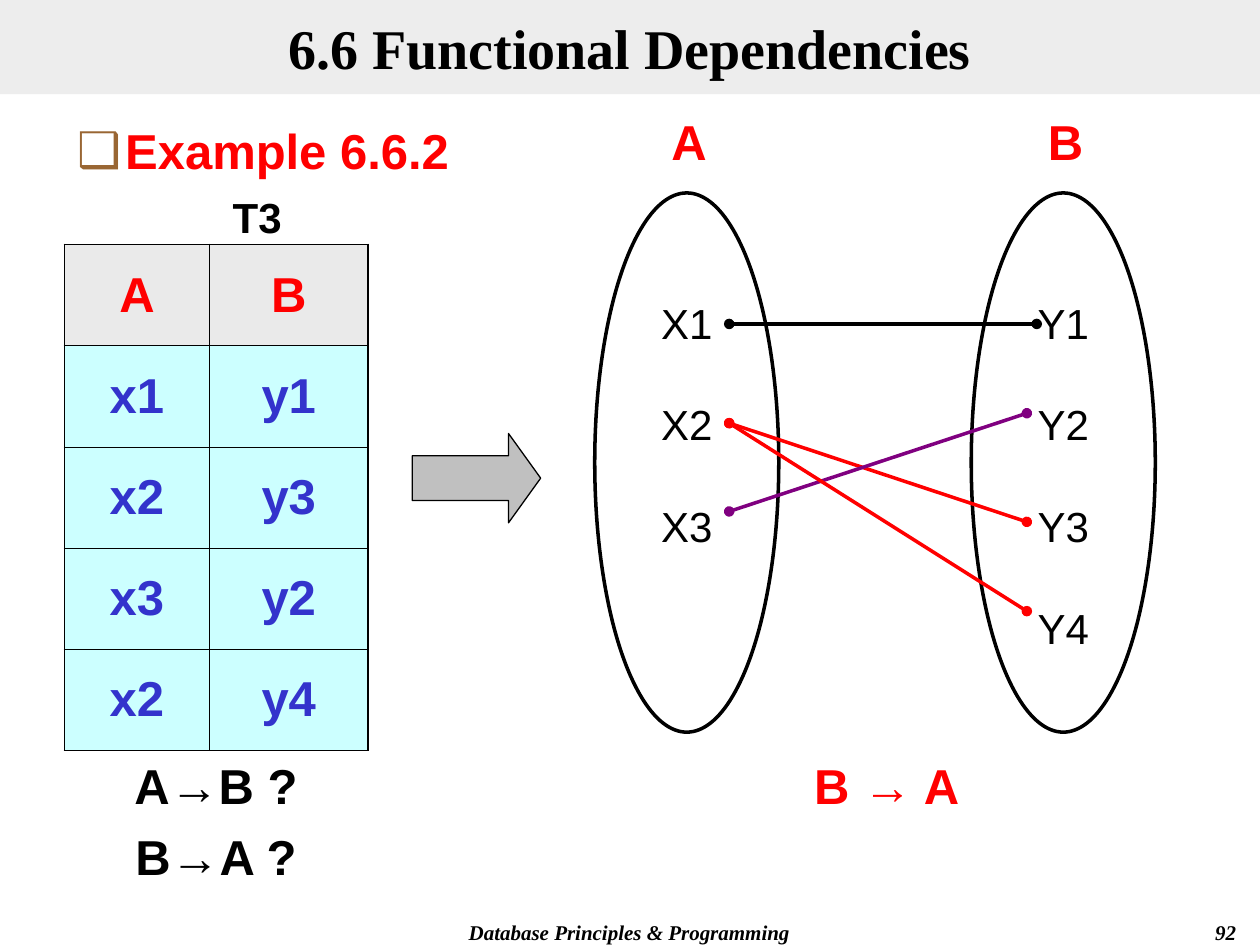
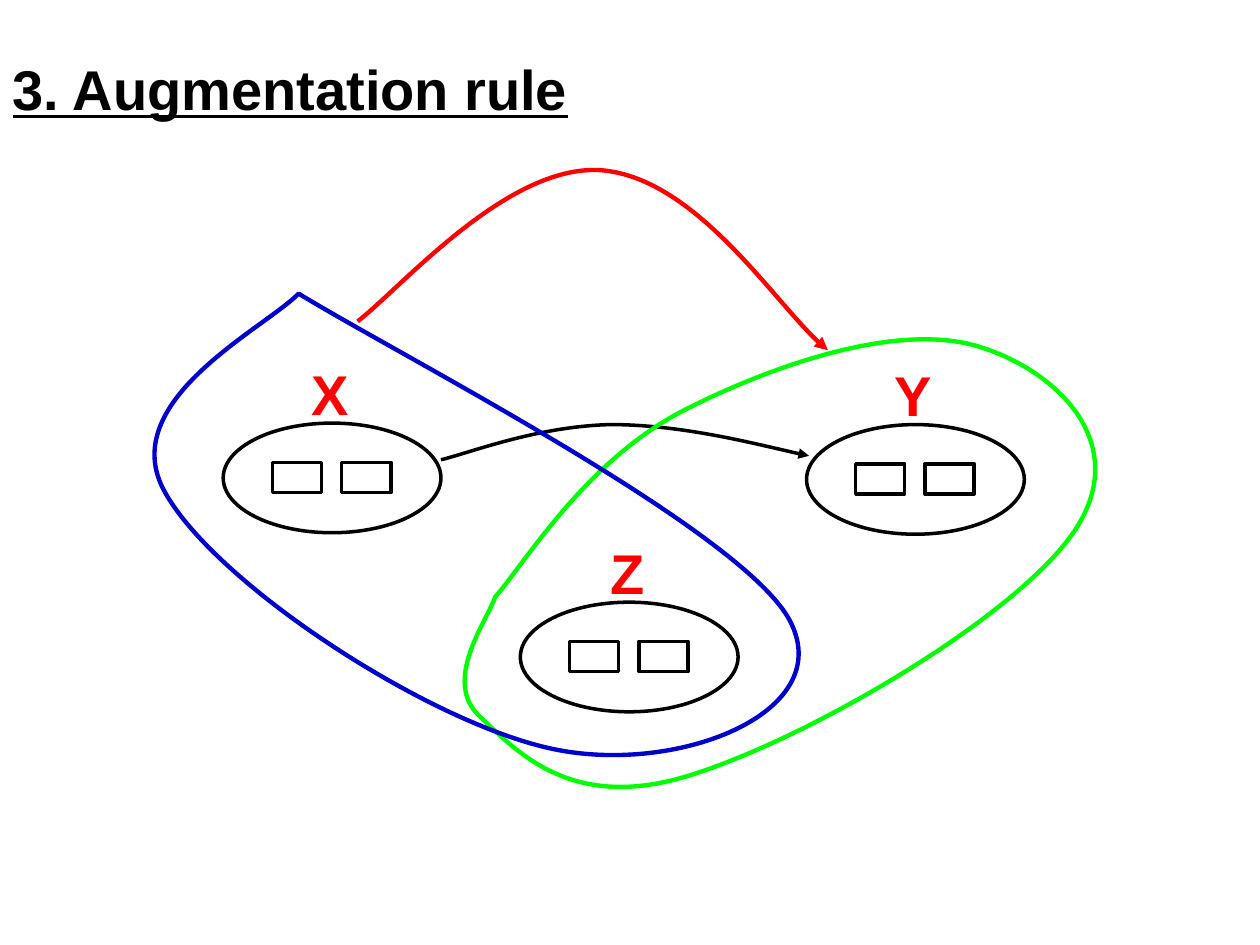
from lxml.etree import Element, SubElement
from pptx import Presentation
from pptx.dml.color import RGBColor
from pptx.enum.shapes import MSO_CONNECTOR as LINK, MSO_SHAPE as SHAPE
from pptx.enum.text import MSO_ANCHOR as ANCHOR, MSO_AUTO_SIZE as FIT, PP_ALIGN as ALIGN
from pptx.oxml.ns import qn
from pptx.util import Cm, Pt

BLACK = RGBColor(0x00, 0x00, 0x00)
RED = RGBColor(0xFF, 0x00, 0x00)
GREEN = RGBColor(0x00, 0xFF, 0x00)
BLUE = RGBColor(0x00, 0x00, 0xCC)
INDIGO = RGBColor(0x33, 0x33, 0xCC)
PURPLE = RGBColor(0x80, 0x00, 0x80)
BROWN = RGBColor(0x99, 0x66, 0x33)
SILVER = RGBColor(0xC0, 0xC0, 0xC0)
BAND = RGBColor(0xDD, 0xDD, 0xDD)
HEAD = RGBColor(0xEA, 0xEA, 0xEA)
AQUA = RGBColor(0xCC, 0xFF, 0xFF)
SANS = "Arial"
SERIF = "Times New Roman"

ROWS = [("A", "B"), ("x1", "y1"), ("x2", "y3"), ("x3", "y2"), ("x2", "y4")]
COLS = (2.92, 3.2)
ROW_H = 2.04
# Left edge, heading and members of each oval
SETS = [(11.99, "A", ["X1", "X2", "X3"]), (19.58, "B", ["Y1", "Y2", "Y3", "Y4"])]
# Start height, end point and colour of each link
LINK_X = 14.7
LINKS = [(6.53, (20.9, 6.53), BLACK), (8.53, (20.7, 10.52), RED),
         (10.31, (20.7, 8.33), PURPLE), (8.53, (20.7, 12.32), RED)]
NODES = [("Z", 10.49, 12.14), ("X", 4.5, 8.53), ("Y", 16.26, 8.56)]

# Each curve is a start point, then two handles and an end point per bend
X_TO_Y = [(8.89, 9.27), (9.5, 9.12), (10.85, 8.59), (12.32, 8.56),
          (13.79, 8.56), (15.57, 9.04), (16.31, 9.19)]
YZ_LOOP = [(9.98, 12.04), (10.62, 11.3), (11.81, 9.3), (13.77, 8.28),
           (15.72, 7.29), (18.16, 6.5), (19.74, 6.99),
           (21.31, 7.47), (22.83, 8.94), (21.67, 10.69),
           (20.52, 12.42), (16.36, 14.86), (13.94, 15.62),
           (11.56, 16.38), (10.46, 15.19), (9.68, 14.45),
           (8.89, 13.74), (9.83, 12.5), (9.98, 12.04)]
XZ_LOOP = [(6.02, 5.92), (8.1, 7.19), (14.86, 10.64), (15.9, 12.47),
           (16.94, 14.33), (13.72, 15.62), (11.2, 15.11),
           (8.69, 14.61), (4.37, 11.79), (3.33, 9.93),
           (2.29, 8.1), (5.33, 6.63), (6.02, 5.92)]
XZ_TO_YZ = [(7.21, 6.48), (8.1, 5.79), (10.21, 3.33), (12.09, 3.43),
            (14, 3.56), (15.77, 6.35), (16.69, 7.06)]


def place(shape, *box):
    shape.left, shape.top, shape.width, shape.height = map(Cm, box)


def write(frame, lines, size, color=BLACK, font=SANS, bold=True, italic=False,
          under=None, align=ALIGN.CENTER, anchor=ANCHOR.TOP, gap=0, pitch=None):
    """Fill a text frame; gap is the space between its paragraphs."""
    frame.word_wrap = True
    frame.vertical_anchor = anchor
    for i, line in enumerate(lines):
        para = frame.add_paragraph() if i else frame.paragraphs[0]
        para.alignment = align
        para.space_before = Pt(gap if i else 0)
        if pitch:
            para.line_spacing = pitch
        run = para.add_run()
        run.text = line
        face = run.font
        face.name, face.size = font, Pt(size)
        face.bold, face.italic, face.underline = bold, italic, under
        face.color.rgb = color


def label(slide, box, lines, size, **style):
    area = slide.shapes.add_textbox(*map(Cm, box))
    write(area.text_frame, lines, size, **style)


def title(slide, box, text, **style):
    shape = slide.shapes.title
    place(shape, *box)
    shape.text_frame.auto_size = FIT.NONE
    write(shape.text_frame, [text], 32, **style)
    return shape


def stroke(shape, color, width):
    shape.line.color.rgb = color
    shape.line.width = Pt(width)


def tip(shape, **ends):
    """Set line ends, given as headEnd and tailEnd."""
    line = shape.line._get_or_add_ln()
    for end, kind in ends.items():
        SubElement(line, qn("a:" + end), type=kind)


def draw(slide, kind, box, fill=None, width=2):
    shape = slide.shapes.add_shape(kind, *map(Cm, box))
    shape.shadow.inherit = False
    if fill is None:
        shape.fill.background()
    else:
        shape.fill.solid()
        shape.fill.fore_color.rgb = fill
    stroke(shape, BLACK, width)
    return shape


def link(slide, start, end, color):
    wire = slide.shapes.add_connector(LINK.STRAIGHT, *map(Cm, start + end))
    stroke(wire, color, 2)
    tip(wire, headEnd="oval", tailEnd="oval")
    SubElement(wire._element.spPr, qn("a:effectLst"))


def curve(slide, points, color, width, loop=False):
    """Draw a Bezier outline; an open one ends in an arrowhead."""
    first, *rest = [(Cm(x), Cm(y)) for x, y in points]
    pen = slide.shapes.build_freeform(*first)
    pen.add_line_segments(rest, close=loop)
    shape = pen.convert_to_shape()
    legs = shape._element.xpath(".//a:lnTo")
    for i in range(0, len(legs), 3):
        bend = Element(qn("a:cubicBezTo"))
        legs[i].addprevious(bend)
        for leg in legs[i:i + 3]:
            bend.append(leg[0])
            leg.getparent().remove(leg)
    shape.shadow.inherit = False
    shape.fill.background()
    stroke(shape, color, width)
    if not loop:
        tip(shape, tailEnd="triangle")


def bullet(para, mark, color, indent):
    props = para._p.get_or_add_pPr()
    props.set("marL", str(Cm(indent)))
    props.set("indent", str(-Cm(indent)))
    tint = SubElement(props, qn("a:buClr"))
    SubElement(tint, qn("a:srgbClr"), val=str(color))
    SubElement(props, qn("a:buChar"), char=mark)


def border(cell, **edges):
    """Set cell borders: L, R, T and B are widths in points."""
    props = cell._tc.get_or_add_tcPr()
    for side, width in edges.items():
        line = SubElement(props, qn("a:ln" + side), w=str(Pt(width)))
        paint = SubElement(line, qn("a:solidFill"))
        SubElement(paint, qn("a:srgbClr"), val=str(BLACK))


def grid(slide, left, top):
    frame = slide.shapes.add_table(len(ROWS), len(COLS), Cm(left), Cm(top),
                                   Cm(sum(COLS)), Cm(ROW_H * len(ROWS)))
    table = frame.table
    for col, width in zip(table.columns, COLS):
        col.width = Cm(width)

    def edge(outer):
        return 1.08 if outer else 0.45

    for r, row in enumerate(ROWS):
        table.rows[r].height = Cm(ROW_H)
        for c, text in enumerate(row):
            cell = table.cell(r, c)
            border(cell, L=edge(c == 0), R=edge(c == len(COLS) - 1),
                   T=edge(r == 0), B=edge(r == len(ROWS) - 1))
            cell.fill.solid()
            cell.fill.fore_color.rgb = AQUA if r else HEAD
            write(cell.text_frame, [text], 28, INDIGO if r else RED)
            cell.vertical_anchor = ANCHOR.MIDDLE


def footer(slide, text, page):
    style = dict(font=SERIF, italic=True)
    label(slide, (7.19, 18.42, 11, 0.64), [text], 12, **style)
    label(slide, (19.89, 18.42, 5.28, 0.64), [page], 12, align=ALIGN.RIGHT, **style)


def oval(slide, left, name, items):
    shape = draw(slide, SHAPE.OVAL, (left, 3.89, 3.71, 10.87))
    frame = shape.text_frame
    frame.margin_top = frame.margin_bottom = 0
    write(frame, items, 24, bold=False, gap=15, pitch=1.5)
    label(slide, (left + 0.3, 2.13, 3.2, 1.45), [name], 28, color=RED)


def node(slide, name, left, top):
    """Draw an oval that holds two boxes, with its name above."""
    draw(slide, SHAPE.OVAL, (left, top, 4.39, 2.21))
    for shift in (0.99, 2.39):
        draw(slide, SHAPE.RECTANGLE, (left + shift, top + 0.79, 0.99, 0.61))
    label(slide, (left + 1.19, top - 1.42, 1.93, 1.63), [name], 32,
          color=RED, anchor=ANCHOR.MIDDLE)


def example(deck):
    slide = deck.slides.add_slide(deck.slide_layouts[1])
    band = title(slide, (0, 0, 25.4, 1.9), "6.6 Functional Dependencies",
                 font=SERIF, anchor=ANCHOR.MIDDLE)
    band.fill.solid()
    band.fill.fore_color.rgb = BAND
    tint = band._element.spPr.find(".//" + qn("a:srgbClr"))
    SubElement(tint, qn("a:alpha"), val="50000")

    body = slide.placeholders[1]
    place(body, 1.3, 2.31, 22.86, 15.67)
    body.text_frame.auto_size = FIT.NONE
    bullet(body.text_frame.paragraphs[0], "❑", BROWN, 0.97)
    write(body.text_frame, ["Example 6.6.2"], 28, RED, align=ALIGN.LEFT)

    grid(slide, 1.3, 4.93)
    label(slide, (3.38, 3.73, 3.61, 1.27), ["T3"], 24)
    label(slide, (15.65, 15.11, 4.45, 1.45), ["B → A"], 28, color=RED)
    for group in SETS:
        oval(slide, *group)
    for height, end, color in LINKS:
        link(slide, (LINK_X, height), end, color)
    arrow = draw(slide, SHAPE.RIGHT_ARROW, (8.31, 8.74, 2.59, 1.8), SILVER, 0.75)
    arrow.adjustments[1] = 0.36
    label(slide, (2.13, 15.11, 4.45, 2.87), ["A→B ?", "B→A ?"], 28, gap=7)
    footer(slide, "Database Principles & Programming", "92")


def augment(deck):
    slide = deck.slides.add_slide(deck.slide_layouts[5])
    title(slide, (0, 0.97, 12.09, 1.63), "3. Augmentation rule",
          under=True, align=ALIGN.LEFT)
    for item in NODES:
        node(slide, *item)
    curve(slide, X_TO_Y, BLACK, 2)
    curve(slide, YZ_LOOP, GREEN, 2.5, loop=True)
    curve(slide, XZ_LOOP, BLUE, 2.5, loop=True)
    curve(slide, XZ_TO_YZ, RED, 2.5)


def main():
    deck = Presentation()
    deck.slide_width, deck.slide_height = Cm(25.4), Cm(19.05)
    example(deck)
    augment(deck)
    deck.save("out.pptx")


if __name__ == "__main__":
    main()
